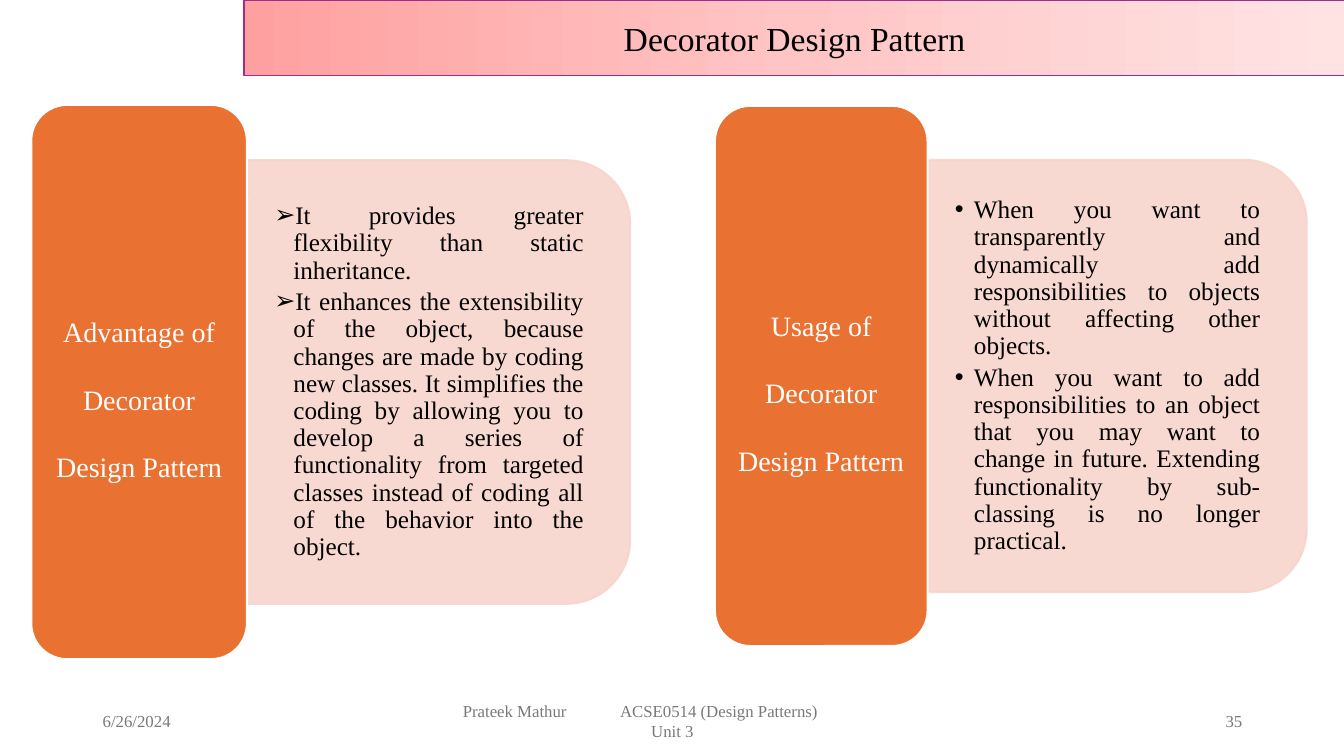
from lxml import etree
from pptx import Presentation
from pptx import util as u
from pptx.dml import color
from pptx.enum import shapes, text
from pptx.oxml import ns, parse_xml

INK = {"black": "000000", "white": "FFFFFF", "gray": "797979", "tab": "E97132",
       "body": "F7D5CE", "edge": "A02B93"}
FADE = {0: "FFA0A0", 50: "FFC5C5", 100: "FFE3E3"}
FACE = "Times New Roman"
MID = text.MSO_ANCHOR.MIDDLE
SIDE = text.PP_ALIGN


def rgb(name):
    return color.RGBColor.from_string(INK[name])


def put(item, vals):
    for key, val in vals.items():
        setattr(item, key, val)


def place(shape, box):
    put(shape, dict(zip(("left", "top", "width", "height"), map(u.Inches, box))))


def frame(shape, pads):
    names = ("margin_left", "margin_top", "margin_right", "margin_bottom")
    put(shape.text_frame, {"word_wrap": True, "auto_size": text.MSO_AUTO_SIZE.NONE,
                           "vertical_anchor": MID, **dict(zip(names, map(u.Inches, pads)))})
    return shape.text_frame


def style(para, size, ink, **vals):
    put(para, vals)
    put(para.font, {"size": u.Pt(size), "name": FACE})
    para.font.color.rgb = rgb(ink)


def block(slide, kind, box, fill, line):
    shape = slide.shapes.add_shape(kind, *map(u.Inches, box))
    shape.shadow.inherit = False
    shape.fill.solid()
    shape.fill.fore_color.rgb = rgb(fill)
    shape.line.color.rgb = rgb(line)
    shape.line.width = u.Pt(1.5)
    return shape


def header(slide, box):
    title = slide.shapes.title
    place(title, box)
    stops = "".join(f'<a:gs pos="{pos * 1000}"><a:srgbClr val="{val}"/></a:gs>'
                    for pos, val in FADE.items())
    title.fill.gradient()
    grad = title.element.spPr.find(ns.qn("a:gradFill"))
    fill = parse_xml(f'<a:gradFill {ns.nsdecls("a")} rotWithShape="1"><a:gsLst>{stops}'
                     '</a:gsLst><a:lin ang="0" scaled="0"/></a:gradFill>')
    grad.getparent().replace(grad, fill)
    title.line.color.rgb = rgb("edge")
    title.line.width = u.Pt(1)
    words = frame(title, (0.1, 0.05, 0.1, 0.05))
    words.text = "Decorator Design Pattern"
    style(words.paragraphs[0], 24, "black", alignment=SIDE.CENTER)


def bullet(para, mark):
    props = para._p.get_or_add_pPr()
    props.set("marL", str(u.Inches(0.19)))
    props.set("indent", str(-u.Inches(0.19)))
    etree.SubElement(props, ns.qn("a:buFont")).set("typeface", "Arial")
    etree.SubElement(props, ns.qn("a:buChar")).set("char", mark)


def panel(slide, box, wide, label, mark, points):
    left, top, width, high = box
    edge, mid, tall = left + width, top + high / 2, high * 0.8
    body = block(slide, shapes.MSO_SHAPE.ROUND_2_SAME_RECTANGLE,
                 (edge + (wide - tall) / 2, mid - wide / 2, tall, wide), "body", "body")
    body.rotation = 90
    for tint in body.element.spPr.iter(ns.qn("a:srgbClr")):
        etree.SubElement(tint, ns.qn("a:alpha")).set("val", "90000")

    deep = tall - 0.37
    note = slide.shapes.add_textbox(*map(u.Inches, (edge, mid - deep / 2, wide - 0.19, deep)))
    words = frame(note, (0.27, 0.14, 0.27, 0.14))
    words.text = "\n".join(points)
    for para in words.paragraphs:
        bullet(para, mark)
        style(para, 18, "black", alignment=SIDE.JUSTIFY, line_spacing=0.9, space_after=u.Pt(3))

    tab = block(slide, shapes.MSO_SHAPE.ROUNDED_RECTANGLE, box, "tab", "white")
    words = frame(tab, (0.08, 0.04, 0.08, 0.04))
    words.text = label
    style(words.paragraphs[0], 20, "white", alignment=SIDE.CENTER, line_spacing=2.0,
          space_after=u.Pt(7))


def footer(slide, box):
    left, top, width, high = box
    parts = [(0, 3, 0.1, ["6/26/2024"], [SIDE.LEFT]),
             (3.5, 4.5, 0.17, ["Prateek Mathur\tACSE0514 (Design Patterns)", "Unit 3"],
              [SIDE.LEFT, SIDE.CENTER]),
             (width - 3, 3, 0.1, ["35"], [SIDE.RIGHT])]
    for shift, wide, pad, lines, sides in parts:
        note = slide.shapes.add_textbox(*map(u.Inches, (left + shift, top, wide, high)))
        words = frame(note, (pad, 0.05, pad, 0.05))
        words.text = "\n".join(lines)
        for para, side in zip(words.paragraphs, sides):
            if "\t" in para.text:
                tabs = etree.SubElement(para._p.get_or_add_pPr(), ns.qn("a:tabLst"))
                stop = etree.SubElement(tabs, ns.qn("a:tab"))
                stop.set("pos", str(u.Inches(1.56)))
                stop.set("algn", "l")
            style(para, 12, "gray", alignment=side)


def main():
    deck = Presentation()
    put(deck, {"slide_width": u.Inches(13.33), "slide_height": u.Inches(7.5)})
    slide = deck.slides.add_slide(deck.slide_layouts[5])
    header(slide, (2.42, 0, 10.92, 0.75))
    panel(slide, (0.31, 1.04, 2.14, 5.5), 3.8, "Advantage of Decorator Design Pattern", "➢", [
        "It provides greater flexibility than static inheritance.",
        "It enhances the extensibility of the object, because changes are made by coding new "
        "classes. It simplifies the coding by allowing you to develop a series of functionality "
        "from targeted classes instead of coding all of the behavior into the object."])
    panel(slide, (7.09, 1.05, 2.11, 5.36), 3.76, "Usage of Decorator Design Pattern", "•", [
        "When you want to transparently and dynamically add responsibilities to objects "
        "without affecting other objects.",
        "When you want to add responsibilities to an object that you may want to change in "
        "future. Extending functionality by sub-classing is no longer practical."])
    footer(slide, (0.92, 6.95, 11.5, 0.4))
    deck.save("out.pptx")


if __name__ == "__main__":
    main()
